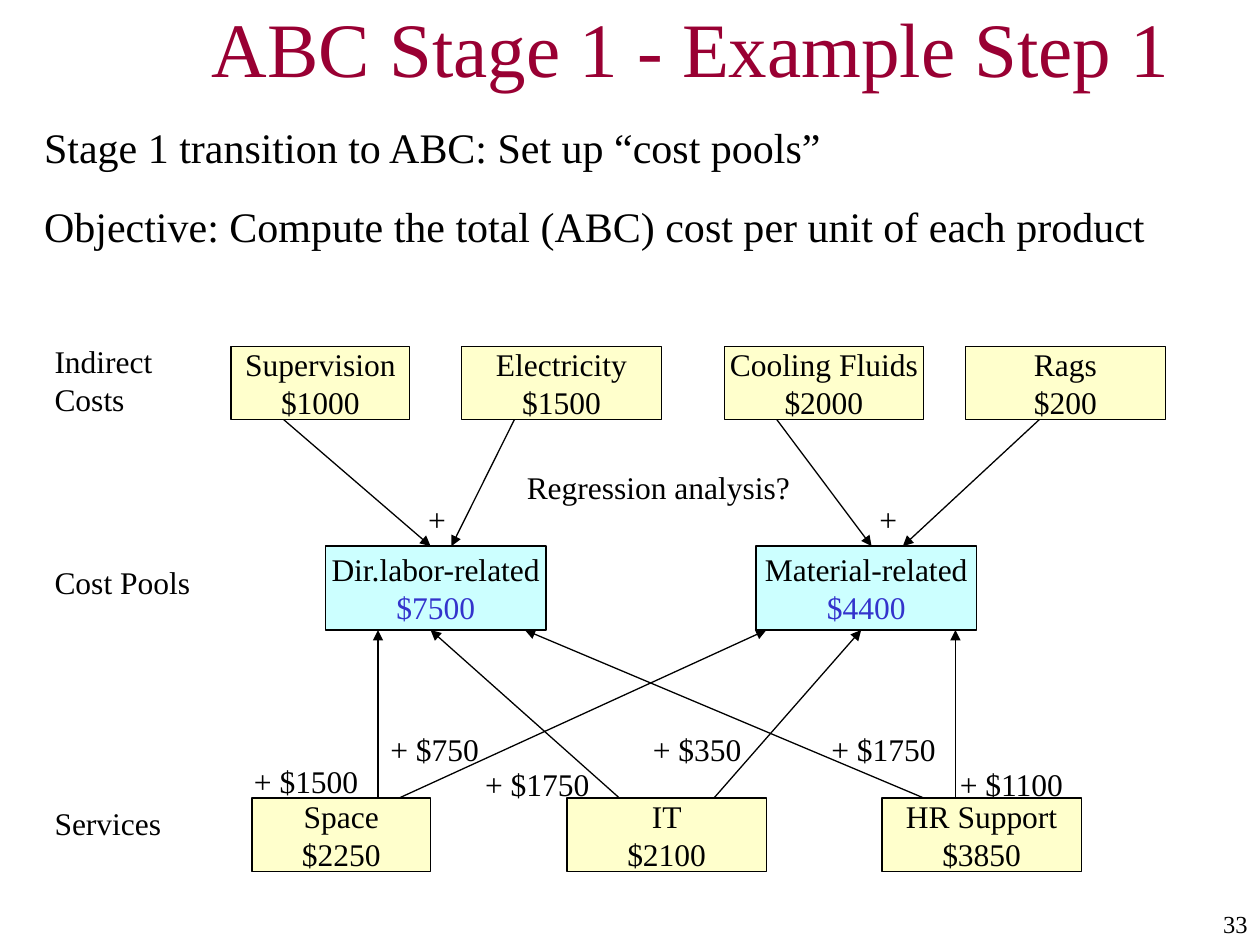
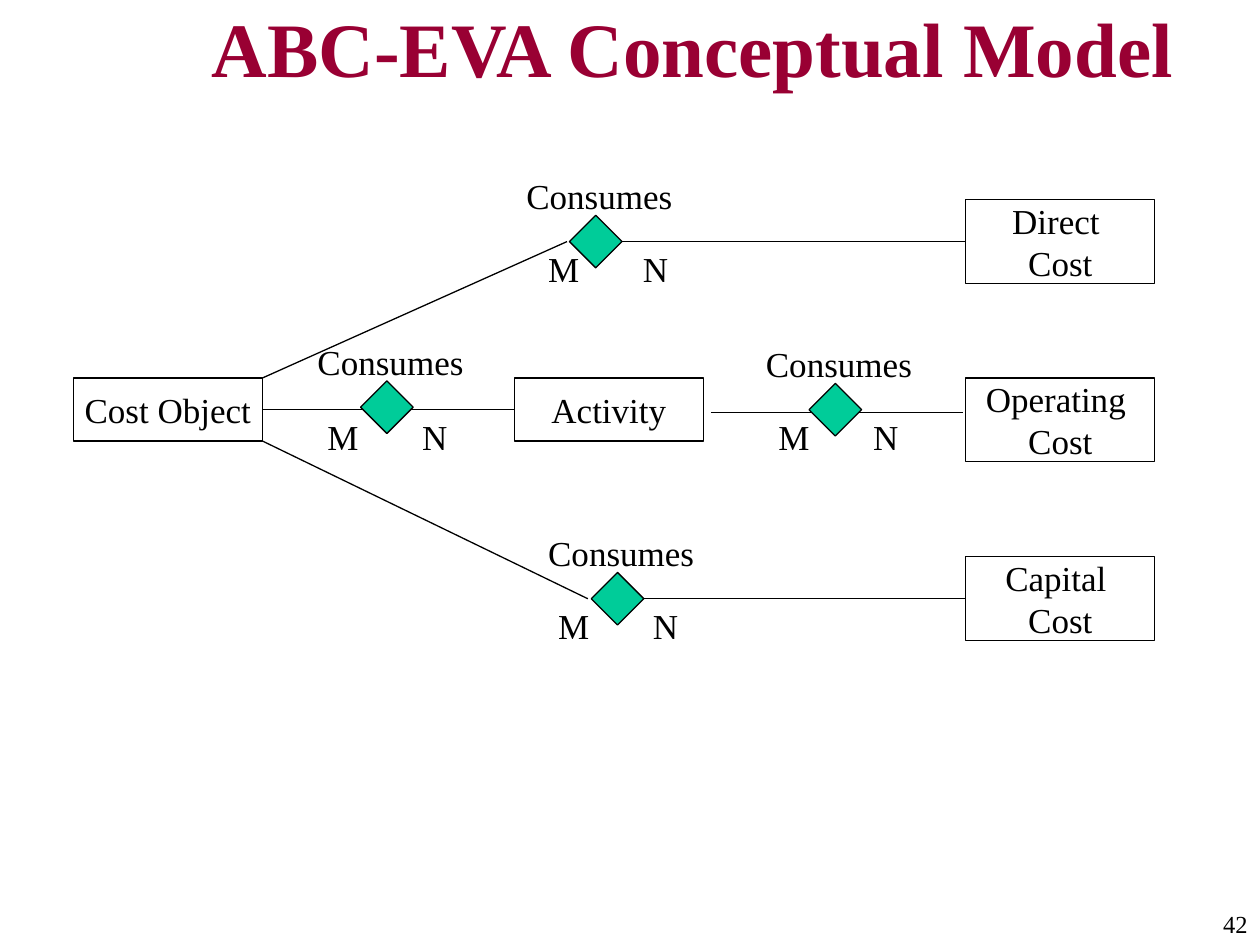
from lxml import etree
from pptx import Presentation
from pptx.dml.color import RGBColor
from pptx.enum.shapes import MSO_CONNECTOR, MSO_SHAPE
from pptx.enum.text import MSO_ANCHOR, PP_ALIGN
from pptx.oxml.ns import qn
from pptx.util import Cm, Pt

COLORS = {
    "title": "990033",
    "text": "000000",
    "total": "3333CC",
    "cost": "FFFFCC",
    "pool": "CCFFFF",
    "relation": "00CC99",
}
FONT = "Times New Roman"


def rgb(name):
    return RGBColor.from_string(COLORS[name])


class Deck:
    """Holds the shared style and the slide being built; lengths are in cm."""

    def __init__(self):
        self.prs = Presentation()
        self.prs.slide_width, self.prs.slide_height = Cm(25.4), Cm(19.05)
        self.size = 18

    def slide(self, title, number, size, bold=False):
        self.s = self.prs.slides.add_slide(self.prs.slide_layouts[6])
        self.size = size
        self.text(title, 4.02, 0.21, 21.38, 1.48, anchor=MSO_ANCHOR.MIDDLE,
                  size=44, color="title", bold=bold)
        self.text(str(number), 21.8, 18.2, 3.6, 0.85, align=PP_ALIGN.RIGHT, size=14)

    def set_lines(self, tf, lines, align=PP_ALIGN.LEFT, gap=0, size=None,
                  color="text", last_color=None, bold=False):
        """Fill a text frame, one paragraph per line."""
        lines = lines.split("\n")
        for i, line in enumerate(lines):
            p = tf.add_paragraph() if i else tf.paragraphs[0]
            p.alignment = align
            if i and gap:
                p.space_before = Pt(gap)
            r = p.add_run()
            r.text = line
            font = {"name": FONT, "size": Pt(size or self.size), "bold": bold}
            for key, value in font.items():
                setattr(r.font, key, value)
            last = i == len(lines) - 1
            r.font.color.rgb = rgb(last_color if last and last_color else color)

    def text(self, lines, x, y, w, h=1.02, anchor=MSO_ANCHOR.TOP, **style):
        tf = self.s.shapes.add_textbox(Cm(x), Cm(y), Cm(w), Cm(h)).text_frame
        tf.word_wrap = True
        tf.vertical_anchor = anchor
        self.set_lines(tf, lines, **style)

    def shape(self, kind, x, y, w, h, fill=None):
        sp = self.s.shapes.add_shape(kind, Cm(x), Cm(y), Cm(w), Cm(h))
        sp.shadow.inherit = False
        if fill:
            sp.fill.solid()
            sp.fill.fore_color.rgb = rgb(fill)
        else:
            sp.fill.background()
        sp.line.color.rgb = rgb("text")
        sp.line.width = Pt(0.75)
        return sp

    def box(self, lines, x, y, w, h, fill=None, **style):
        tf = self.shape(MSO_SHAPE.RECTANGLE, x, y, w, h, fill).text_frame
        tf.word_wrap = False
        tf.vertical_anchor = MSO_ANCHOR.MIDDLE
        self.set_lines(tf, lines, align=PP_ALIGN.CENTER, **style)

    def line(self, x1, y1, x2, y2, arrow=False):
        c = self.s.shapes.add_connector(
            MSO_CONNECTOR.STRAIGHT, Cm(x1), Cm(y1), Cm(x2), Cm(y2))
        c.line.color.rgb = rgb("text")
        c.line.width = Pt(0.75)
        props = c.element.spPr
        if arrow:
            etree.SubElement(props.find(qn("a:ln")), qn("a:tailEnd"), type="triangle")
        etree.SubElement(props, qn("a:effectLst"))

    def relation(self, x, y, mx, my):
        """Diamond under a Consumes label at x, y, with M at mx, my and N beside it."""
        self.text("Consumes", x, y, 3.6, 1.11)
        self.shape(MSO_SHAPE.DIAMOND, x + 1.12, y + 0.95, 1.06, 1.06, "relation")
        self.text("M", mx, my, 1.06, 1.11)
        self.text("N", mx + 1.91, my, 1.27, 1.11)


def cost_pools(deck):
    deck.slide("ABC Stage 1 - Example Step 1", 33, size=18)
    deck.text("Stage 1 transition to ABC: Set up “cost pools”\n"
              "Objective: Compute the total (ABC) cost per unit of each product",
              0.64, 2.33, 24.13, 2.82, size=24, gap=16)

    cost_y, pool_y, service_y = 6.98, 11.01, 16.09
    cost_h, pool_h = 1.48, 1.69
    for label, y in (("Indirect Costs", 6.77), ("Cost Pools", 11.22),
                     ("Services", service_y)):
        deck.text(label, 0.85, y, 3.81)

    for lines, x, y, w in (
        ("Supervision\n$1000", 4.66, cost_y, 3.6),
        ("Electricity\n$1500", 9.31, cost_y, 4.02),
        ("Cooling Fluids\n$2000", 14.6, cost_y, 4.02),
        ("Rags\n$200", 19.47, cost_y, 4.02),
        ("Space\n$2250", 5.08, service_y, 3.6),
        ("IT\n$2100", 11.43, service_y, 4.02),
        ("HR Support\n$3850", 17.78, service_y, 4.02),
    ):
        deck.box(lines, x, y, w, cost_h, "cost")
    for lines, x in (("Dir.labor-related\n$7500", 6.56),
                     ("Material-related\n$4400", 15.24)):
        deck.box(lines, x, pool_y, 4.45, pool_h, "pool", last_color="total")

    for x1, x2 in ((5.72, 8.68), (10.37, 9.1), (15.66, 17.57), (20.95, 18.2)):
        deck.line(x1, cost_y + cost_h, x2, pool_y, arrow=True)
    for x1, x2 in ((7.62, 7.62), (8.04, 15.45), (12.49, 8.68),
                   (14.39, 17.36), (18.63, 10.58), (19.26, 19.26)):
        deck.line(x1, service_y, x2, pool_y + pool_h, arrow=True)

    for x in (8.38, 17.48):
        deck.text("+", x, 9.95, 0.85)
    deck.text("Regression analysis?", 10.37, 9.31, 6.56)
    for amount, x, y in (
        (1500, 4.87, 15.24), (750, 7.62, 14.6), (1750, 9.53, 15.29),
        (350, 12.91, 14.6), (1750, 16.51, 14.6), (1100, 19.1, 15.29),
    ):
        deck.text(f"+ ${amount}", x, y, 3.18)


def conceptual_model(deck):
    deck.slide("ABC-EVA Conceptual Model", 42, size=20, bold=True)
    for name, x in (("Cost Object", 1.48), ("Activity", 10.37)):
        deck.box(name, x, 7.62, 3.81, 1.27)
    for i, kind in enumerate(("Direct", "Operating", "Capital")):
        deck.box(f"{kind} \nCost", 19.47, 4.02 + 3.6 * i, 3.81, 1.69)

    for ends in (
        (5.29, 8.26, 10.37, 8.26), (14.33, 8.31, 19.41, 8.31),
        (5.29, 7.62, 11.43, 4.87), (12.49, 4.87, 19.47, 4.87),
        (5.29, 8.89, 11.85, 12.07), (12.91, 12.07, 19.47, 12.07),
    ):
        deck.line(*ends)
    for place in (
        (6.15, 6.73, 6.35, 8.26), (15.19, 6.78, 15.44, 8.26),
        (10.36, 3.39, 10.8, 4.87), (10.8, 10.59, 11, 12.07),
    ):
        deck.relation(*place)


def main():
    deck = Deck()
    cost_pools(deck)
    conceptual_model(deck)
    deck.prs.save("out.pptx")


if __name__ == "__main__":
    main()
